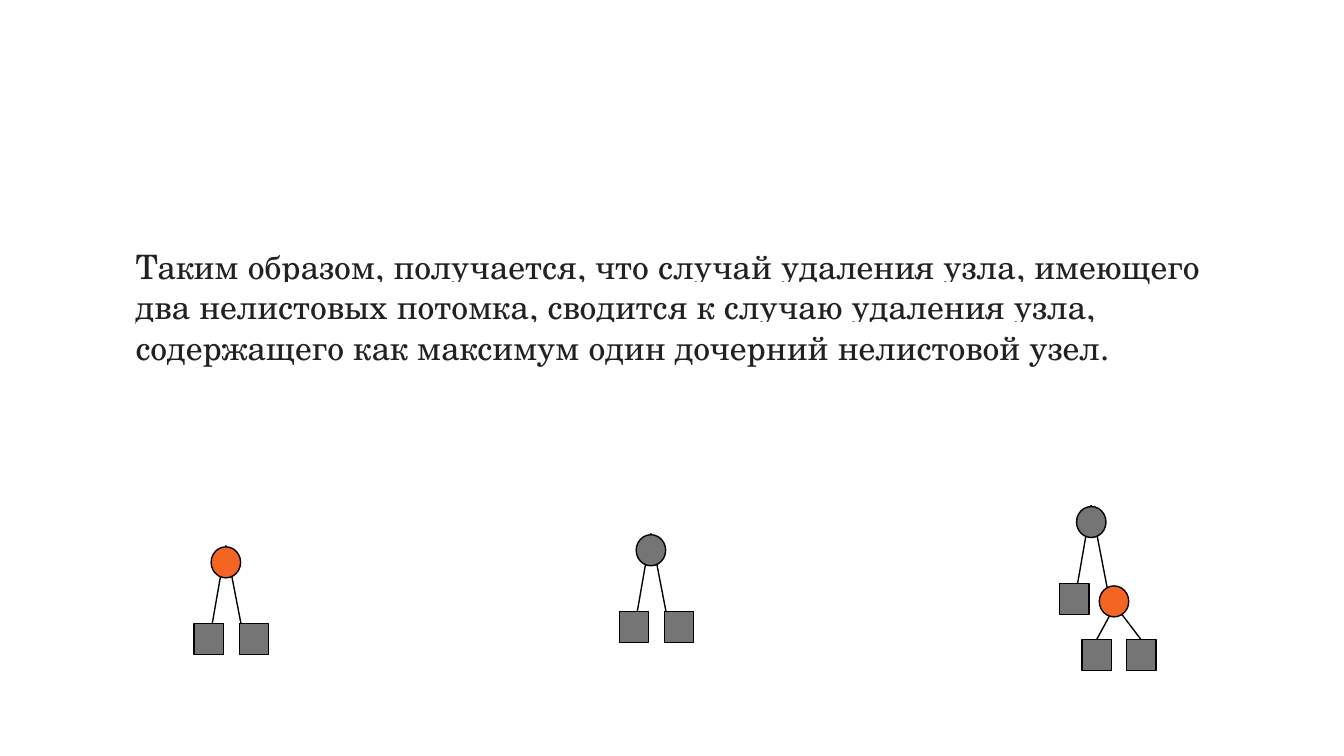
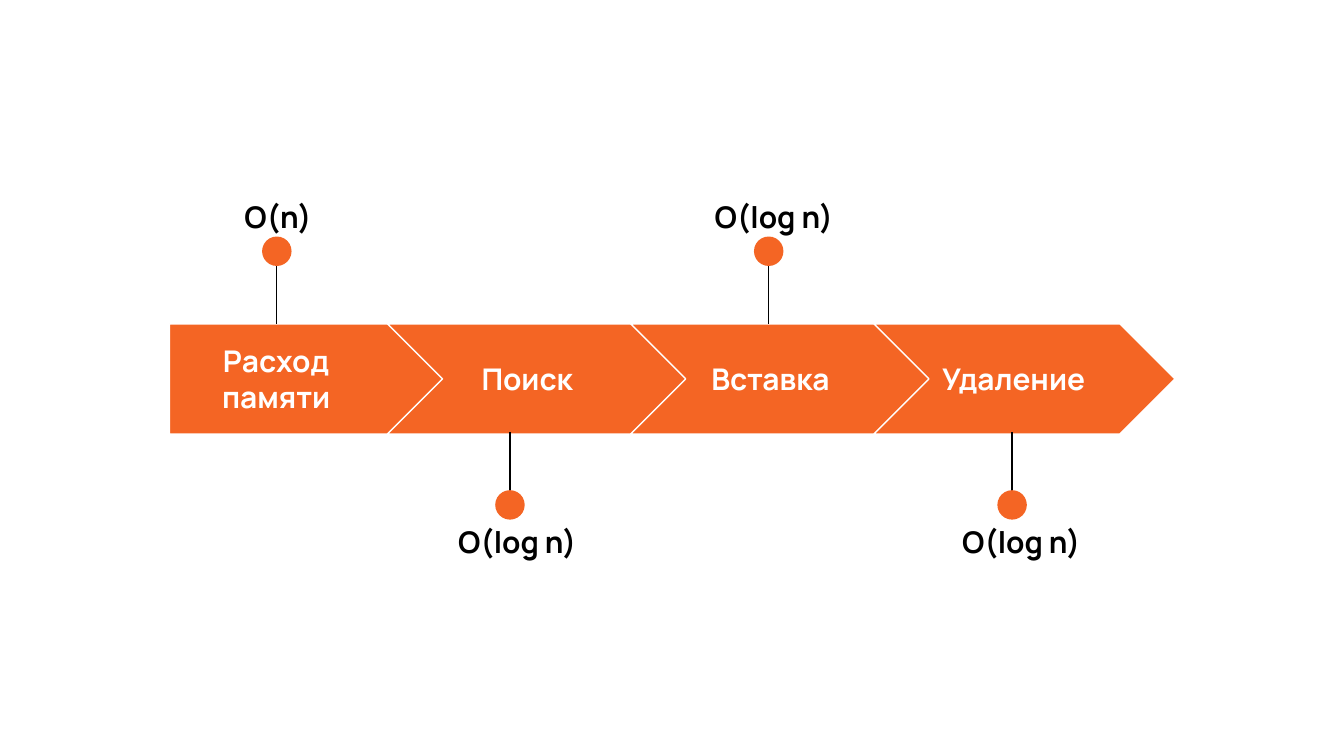
from lxml.etree import SubElement
from pptx import Presentation
from pptx.dml.color import RGBColor
from pptx.enum.shapes import MSO_CONNECTOR, MSO_SHAPE
from pptx.enum.text import MSO_ANCHOR, MSO_AUTO_SIZE, PP_ALIGN
from pptx.oxml.ns import qn
from pptx.util import Pt

# Content
CONCLUSION = (
    "Таким образом, получается, что случай удаления узла, имеющего два "
    "нелистовых потомка, сводится к случаю удаления узла, содержащего "
    "как максимум один дочерний нелистовой узел."
)
# Apex x and y, root colour, whether the right child is a subtree
TREES = [
    (121, 292.3, "orange", False),
    (348.7, 285.8, "grey", False),
    (584.6, 270.7, "grey", True),
]
# Operation, its cost, stem x, cost left, whether the cost stands above
STEPS = [
    ("Расход памяти", "O(n)", 148.3, 123.8, True),
    ("Поиск", "O(log n)", 273.2, 238.3, False),
    ("Вставка", "O(log n)", 411.8, 375.8, True),
    ("Удаление", "O(log n)", 542.2, 508.3, False),
]

# Shared style
COLORS = {"orange": "F46524", "grey": "757575", "black": "000000",
          "white": "FFFFFF", "text": "202122"}
TITLE_FONT, LABEL_FONT = "TeX Gyre Schola", "Manrope"
LINE_WIDTH = 0.75
INSET = 7.2

# Tree measures, relative to the apex
NODE_W, NODE_H = 15.8, 16.6
ROOT_DX, ROOT_DY = -7.9, 0.7
EDGE_DX, EDGE_DY = (-7.9, 8.8), 45.4
LEAF_DX, LEAF_DY = (-17, 7.2), 41.8
SUBROOT_DX, SUBROOT_DY = 4.3, 43.2
SUBLEAF_DX, SUBLEAF_DY = (-5, 19), 72
SUBEDGES = [(17.3, 2.9), (6.5, 26.7)]

# Process band measures
BAND_TOP, BAND_H = 173.5, 59
PLATE_LEFT, PLATE_W = 90.7, 147.6
CHEVRON_LEFT, CHEVRON_W, CHEVRON_STEP = 207.6, 161.3, 130.3
NAME_TOP, NAME_H = 184.3, 36.7
COST_W, COST_H = 176.4, 71.3
DOT = 15.8


def color(name):
    return RGBColor.from_string(COLORS[name])


def add_shape(slide, kind, left, top, width, height, fill, line=None):
    shape = slide.shapes.add_shape(kind, Pt(left), Pt(top), Pt(width), Pt(height))
    shape.shadow.inherit = False
    shape.fill.solid()
    shape.fill.fore_color.rgb = color(fill)
    if line:
        shape.line.color.rgb = color(line)
        shape.line.width = Pt(LINE_WIDTH)
    else:
        shape.line.fill.background()
    return shape


def add_line(slide, x1, y1, x2, y2):
    line = slide.shapes.add_connector(
        MSO_CONNECTOR.STRAIGHT, Pt(x1), Pt(y1), Pt(x2), Pt(y2))
    line.line.color.rgb = color("black")
    line.line.width = Pt(LINE_WIDTH)
    SubElement(line._element.spPr, qn("a:effectLst"))


def add_node(slide, kind, left, top, fill):
    add_shape(slide, kind, left, top, NODE_W, NODE_H, fill, "black")


def write(shape, text, font, size, ink, bold, align, anchor):
    frame = shape.text_frame
    frame.word_wrap = True
    frame.auto_size = MSO_AUTO_SIZE.NONE
    frame.vertical_anchor = anchor
    frame.margin_left = frame.margin_right = Pt(INSET)
    frame.margin_top = frame.margin_bottom = Pt(INSET)
    paragraph = frame.paragraphs[0]
    paragraph.alignment = align
    run = paragraph.add_run()
    run.text = text
    run.font.name = font
    run.font.size = Pt(size)
    run.font.bold = bold
    run.font.color.rgb = color(ink)
    return paragraph


def add_label(slide, text, left, top, width, height, ink, align, anchor):
    box = slide.shapes.add_textbox(Pt(left), Pt(top), Pt(width), Pt(height))
    return write(box, text, LABEL_FONT, 16, ink, True, align, anchor)


def highlight(run, name):
    """Put a background colour behind the run, right after its fill."""
    properties = run.font._element
    mark = SubElement(properties, qn("a:highlight"))
    SubElement(mark, qn("a:srgbClr"), val=COLORS[name])
    properties.find(qn("a:solidFill")).addnext(mark)


def add_tree(slide, x, y, root_fill, has_subtree):
    for dx in EDGE_DX:
        add_line(slide, x, y, x + dx, y + EDGE_DY)
    add_node(slide, MSO_SHAPE.OVAL, x + ROOT_DX, y + ROOT_DY, root_fill)
    leaves = [(dx, LEAF_DY) for dx in LEAF_DX]
    if has_subtree:
        for start, end in SUBEDGES:
            add_line(slide, x + start, y + 45.4, x + end, y + SUBLEAF_DY)
        add_node(slide, MSO_SHAPE.OVAL, x + SUBROOT_DX, y + SUBROOT_DY, "orange")
        leaves = leaves[:1] + [(dx, SUBLEAF_DY) for dx in SUBLEAF_DX]
    for dx, dy in leaves:
        add_node(slide, MSO_SHAPE.RECTANGLE, x + dx, y + dy, "grey")


def build_conclusion(presentation):
    slide = presentation.slides.add_slide(presentation.slide_layouts[5])
    title = slide.shapes.title
    title.left, title.top, title.width, title.height = (
        Pt(value) for value in (65.5, 12.2, 616.3, 303.8))
    paragraph = write(title, CONCLUSION, TITLE_FONT, 18, "text", False,
                      PP_ALIGN.LEFT, MSO_ANCHOR.MIDDLE)
    highlight(paragraph.runs[0], "white")
    for tree in TREES:
        add_tree(slide, *tree)


def build_complexity(presentation):
    slide = presentation.slides.add_slide(presentation.slide_layouts[6])
    for index, (name, cost, stem_x, cost_left, above) in enumerate(STEPS):
        # Band segment and its name
        if index == 0:
            kind, left, width = MSO_SHAPE.PENTAGON, PLATE_LEFT, PLATE_W
            name_left, name_width = left, 114.5
        else:
            kind, width = MSO_SHAPE.CHEVRON, CHEVRON_W
            left = CHEVRON_LEFT + (index - 1) * CHEVRON_STEP
            name_left, name_width = left + 23, 103.7
        add_shape(slide, kind, left, BAND_TOP, width, BAND_H, "orange", "white")
        add_label(slide, name, name_left, NAME_TOP, name_width, NAME_H, "white",
                  PP_ALIGN.CENTER, MSO_ANCHOR.MIDDLE)
        # Stem, dot and cost
        if above:
            stem_top, stem_end, dot_top, cost_top = 129.6, BAND_TOP, 126.7, 96.5
        else:
            stem_top, stem_end, dot_top, cost_top = 275, 231.5, 262.6, 270.7
        add_line(slide, stem_x, stem_top, stem_x, stem_end)
        add_shape(slide, MSO_SHAPE.OVAL, stem_x - DOT / 2, dot_top, DOT, DOT, "orange")
        paragraph = add_label(slide, cost, cost_left, cost_top, COST_W, COST_H,
                              "black", PP_ALIGN.LEFT, MSO_ANCHOR.TOP)
        paragraph.line_spacing = 1.15
        paragraph.space_after = Pt(16)


def main():
    presentation = Presentation()
    presentation.slide_width, presentation.slide_height = Pt(720), Pt(405)
    build_conclusion(presentation)
    build_complexity(presentation)
    presentation.save("out.pptx")


if __name__ == "__main__":
    main()
